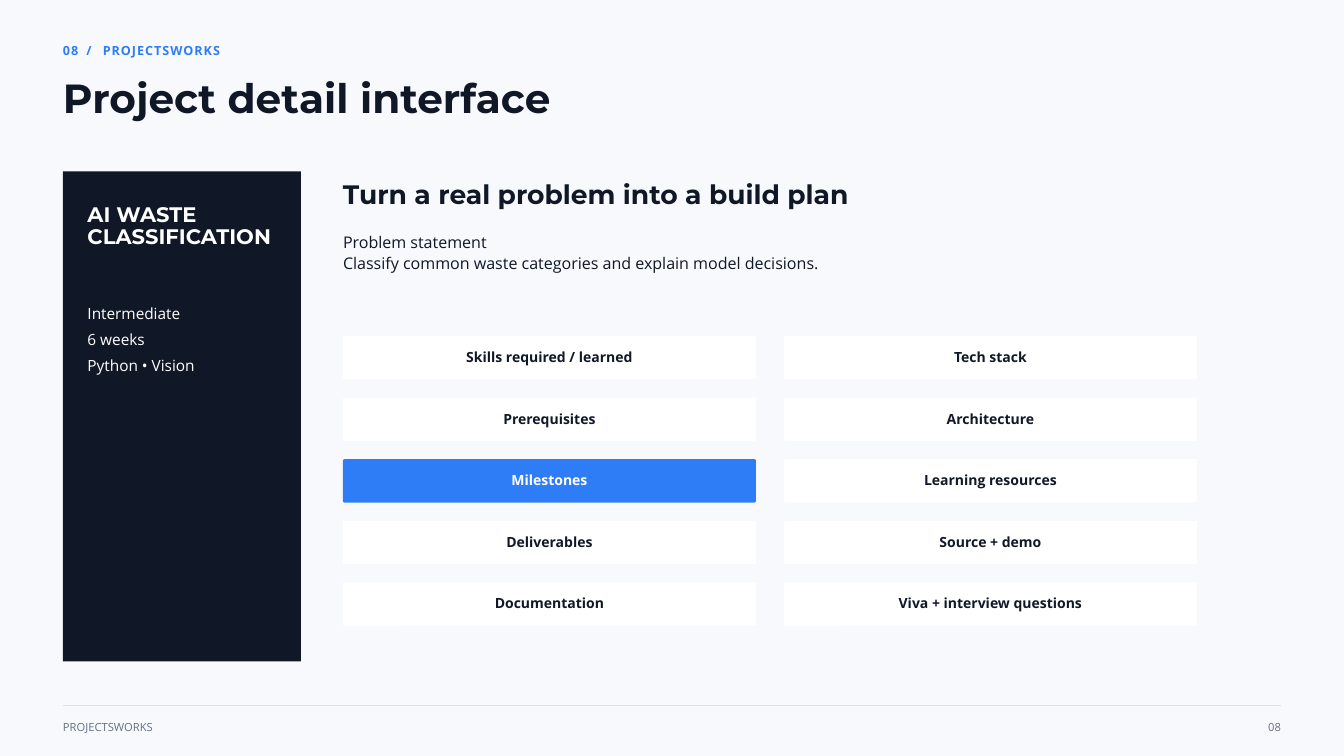
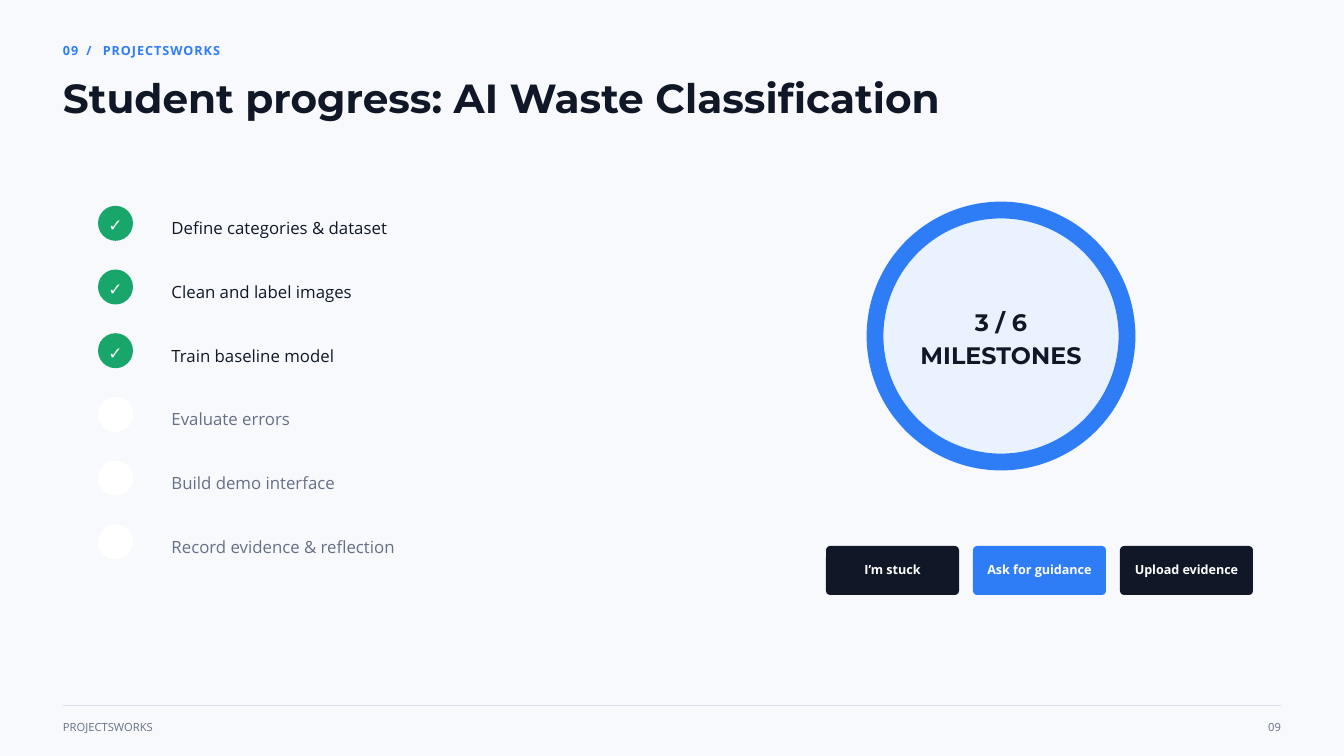
from lxml import etree
from pptx import Presentation
from pptx.dml.color import RGBColor
from pptx.enum.shapes import MSO_CONNECTOR, MSO_SHAPE
from pptx.enum.text import MSO_ANCHOR, PP_ALIGN
from pptx.oxml.ns import qn
from pptx.util import Inches, Pt

RECT = MSO_SHAPE.RECTANGLE
ROUNDED = MSO_SHAPE.ROUNDED_RECTANGLE
OVAL = MSO_SHAPE.OVAL
STRAIGHT = MSO_CONNECTOR.STRAIGHT
TOP, MIDDLE = MSO_ANCHOR.TOP, MSO_ANCHOR.MIDDLE
LEFT, CENTER, RIGHT = PP_ALIGN.LEFT, PP_ALIGN.CENTER, PP_ALIGN.RIGHT

COLORS = {
    "page": "F7F9FC",
    "ink": "101828",
    "blue": "2F7DF6",
    "pale": "EAF2FF",
    "green": "18A66A",
    "muted": "667085",
    "rule": "D9E1EC",
    "white": "FFFFFF",
}
HEAD, BODY = "Montserrat", "Open Sans"
BRAND = "PROJECTSWORKS"

SLIDE_W, SLIDE_H = Inches(20), Inches(11.25)
COLUMNS = 96
MARGIN = 4.5
RIGHT_EDGE = COLUMNS - MARGIN


def grid(units):
    return round(SLIDE_W * units / COLUMNS)


def color(name):
    return RGBColor.from_string(COLORS[name])


def write(tf, lines, size, leading, ink="ink", font=BODY, bold=False,
          align=LEFT, anchor=TOP):
    tf.word_wrap = True
    tf.vertical_anchor = anchor
    tf.margin_left = tf.margin_right = tf.margin_top = tf.margin_bottom = 0
    for i, line in enumerate(lines):
        p = tf.paragraphs[0] if i == 0 else tf.add_paragraph()
        p.alignment = align
        p.line_spacing = Pt(leading)
        p.font.name = font
        p.font.size = Pt(size)
        p.font.bold = bold
        p.font.color.rgb = color(ink)
        if line:
            p.add_run().text = line


def add_text(slide, box, lines, size, leading, **style):
    sp = slide.shapes.add_textbox(*map(grid, box))
    write(sp.text_frame, lines, size, leading, **style)
    return sp


def add_block(slide, kind, box, fill, radius=0):
    sp = slide.shapes.add_shape(kind, *map(grid, box))
    sp.shadow.inherit = False
    sp.fill.solid()
    sp.fill.fore_color.rgb = color(fill)
    sp.line.fill.background()
    if kind == ROUNDED:
        sp.adjustments[0] = radius / box[3]
    return sp


def add_button(slide, box, label, fill, ink, size, leading, radius):
    sp = add_block(slide, ROUNDED, box, fill, radius)
    write(sp.text_frame, [label], size, leading, ink=ink, bold=True,
          align=CENTER, anchor=MIDDLE)


def add_kicker(slide, number):
    sp = add_text(slide, (MARGIN, 2.9, 32.5, 1.2), [""], 13.5, 18.9,
                  ink="blue", bold=True)
    for text, spacing in ((number, 110), (" / ", 420), (BRAND, 110)):
        r = sp.text_frame.paragraphs[0].add_run()
        r.text = text
        r._r.get_or_add_rPr().set("spc", str(spacing))


def add_footer(slide, number):
    y = grid(50.4)
    rule = slide.shapes.add_connector(
        STRAIGHT, grid(MARGIN), y, grid(RIGHT_EDGE), y)
    rule.line.color.rgb = color("rule")
    rule.line.width = Pt(0.75)
    etree.SubElement(rule._element.spPr, qn("a:effectLst"))
    add_text(slide, (MARGIN, 51.35, 15, 1), [BRAND], 12, 15.6, ink="muted")
    add_text(slide, (RIGHT_EDGE - 3.5, 51.35, 3.5, 1), [number], 12, 15.6,
             ink="muted", align=RIGHT)


def add_slide(prs, number, title):
    slide = prs.slides.add_slide(prs.slide_layouts[6])
    slide.background.fill.solid()
    slide.background.fill.fore_color.rgb = color("page")
    add_kicker(slide, number)
    add_text(slide, (MARGIN, 5.65, 75, 3.2), [title], 43.5, 45.7,
             font=HEAD, bold=True)
    add_footer(slide, number)
    return slide


def add_project_panel(slide):
    add_block(slide, RECT, (MARGIN, 12.25, 17, 35), "ink")
    add_text(slide, (6.25, 14.6, 13.5, 3.2), ["AI WASTE", "CLASSIFICATION"],
             22.5, 23.6, ink="white", font=HEAD, bold=True)
    add_text(slide, (6.25, 21.15, 12.5, 5.3),
             ["Intermediate", "6 weeks", "Python • Vision"],
             16.5, 28.1, ink="white")


def add_plan_tiles(slide, rows, active):
    for row, labels in enumerate(rows):
        for col, label in enumerate(labels):
            fill, ink = ("blue", "white") if label == active else ("white", "ink")
            box = (24.5 + 31.5 * col, 24 + 4.4 * row, 29.5, 3.1)
            add_button(slide, box, label, fill, ink, 15, 16.5, 0.12)


def add_checklist(slide, steps, done):
    for i, step in enumerate(steps):
        finished = i < done
        y = 14.7 + 4.55 * i
        sp = add_block(slide, OVAL, (7, y, 2.5, 2.5),
                       "green" if finished else "white")
        if finished:
            write(sp.text_frame, ["✓"], 18, 25.2, ink="white", font=HEAD,
                  bold=True, align=CENTER, anchor=MIDDLE)
        add_text(slide, (12.25, y + 0.7, 40, 1.5), [step], 18, 24.3,
                 ink="ink" if finished else "muted")


def add_progress_ring(slide, done, total):
    sp = add_block(slide, OVAL, (62.5, 15, 18, 18), "pale")
    sp.line.color.rgb = color("blue")
    sp.line.width = Pt(18)
    write(sp.text_frame, [f"{done} / {total}", "MILESTONES"], 25.5, 35.7,
          font=HEAD, bold=True, align=CENTER, anchor=MIDDLE)


def add_actions(slide, actions):
    for i, (label, fill) in enumerate(actions):
        add_button(slide, (59 + 10.5 * i, 39, 9.5, 3.5), label, fill, "white",
                   13.5, 14.8, 0.3)


def build_detail(prs):
    slide = add_slide(prs, "08", "Project detail interface")
    add_project_panel(slide)
    add_text(slide, (24.5, 13, 50, 2), ["Turn a real problem into a build plan"],
             28.5, 29.9, font=HEAD, bold=True)
    add_text(slide, (24.5, 16.4, 62.5, 3),
             ["Problem statement",
              "Classify common waste categories and explain model decisions."],
             17.2, 23.3)
    add_plan_tiles(slide, [
        ("Skills required / learned", "Tech stack"),
        ("Prerequisites", "Architecture"),
        ("Milestones", "Learning resources"),
        ("Deliverables", "Source + demo"),
        ("Documentation", "Viva + interview questions"),
    ], active="Milestones")


def build_progress(prs):
    slide = add_slide(prs, "09", "Student progress: AI Waste Classification")
    steps = ["Define categories & dataset", "Clean and label images",
             "Train baseline model", "Evaluate errors",
             "Build demo interface", "Record evidence & reflection"]
    done = 3
    add_checklist(slide, steps, done)
    add_progress_ring(slide, done, len(steps))
    add_actions(slide, [("I’m stuck", "ink"), ("Ask for guidance", "blue"),
                        ("Upload evidence", "ink")])


def main():
    prs = Presentation()
    prs.slide_width, prs.slide_height = SLIDE_W, SLIDE_H
    build_detail(prs)
    build_progress(prs)
    prs.save("out.pptx")


if __name__ == "__main__":
    main()
